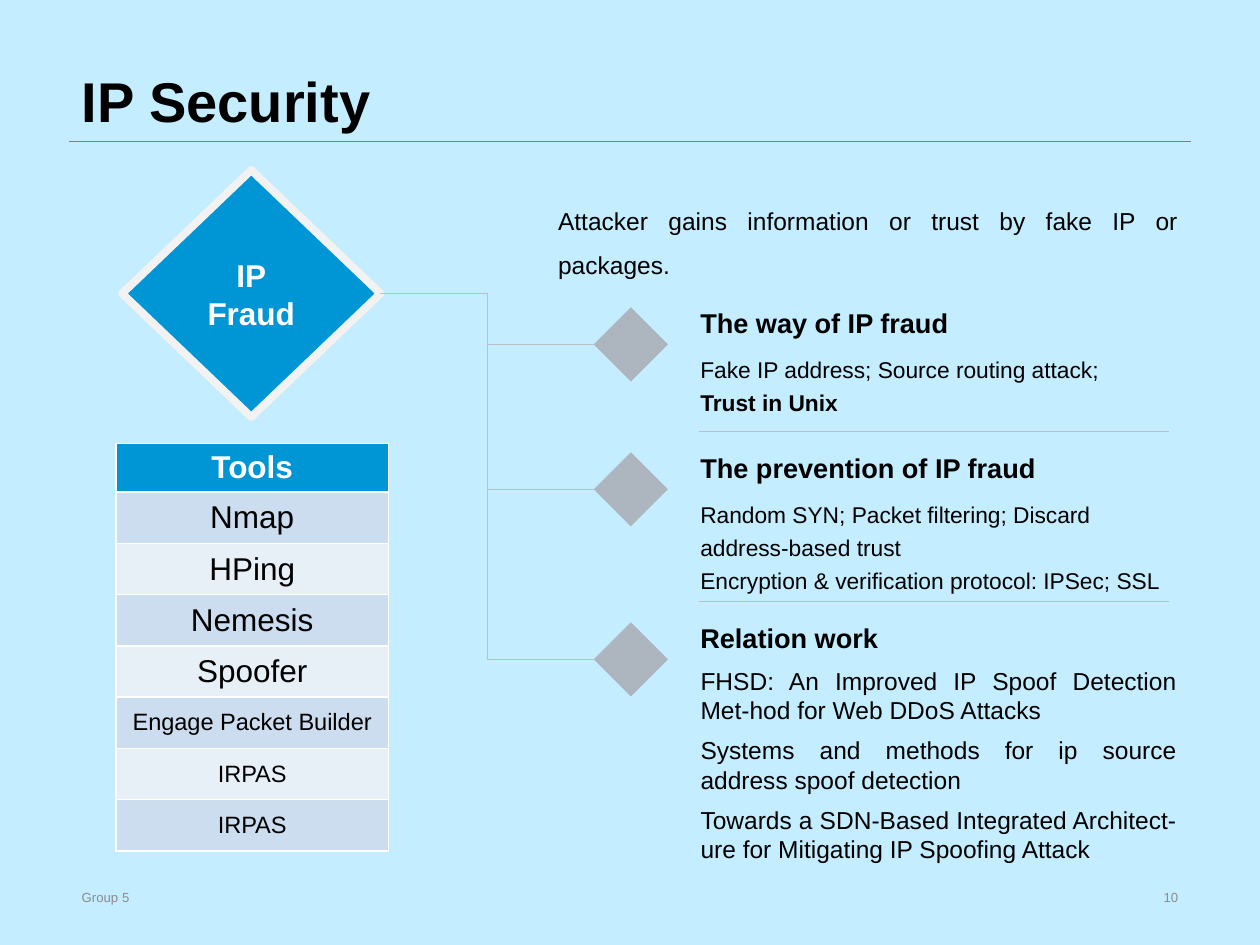
from dataclasses import dataclass

from lxml.etree import SubElement
from pptx import Presentation
from pptx.dml.color import RGBColor
from pptx.enum.shapes import MSO_CONNECTOR as Connector, MSO_SHAPE as Shape
from pptx.enum.text import MSO_ANCHOR as Anchor, MSO_AUTO_SIZE as AutoSize, PP_ALIGN as Align
from pptx.oxml.ns import qn
from pptx.util import Pt


@dataclass(frozen=True)
class Theme:
    font: str = "Arial"
    background: str = "C4EDFF"
    text: str = "000000"
    light_text: str = "FFFFFF"
    muted_text: str = "8C8C8C"
    accent: str = "0096D6"
    outline: str = "F2F2F2"
    marker: str = "ADB5BF"
    title_rule: str = "808080"
    rule: str = "BFBFBF"
    bands: tuple = ("CCDDF0", "E7EFF7")
    title_size: float = 32
    label_size: float = 18
    heading_size: float = 15.5
    text_size: float = 14
    tool_size: float = 13.5
    detail_size: float = 13
    footer_size: float = 7.5


THEME = Theme()
TOOLS = ["Nmap", "HPing", "Nemesis", "Spoofer", "Engage Packet Builder", "IRPAS", "IRPAS"]
LARGE_TOOLS = 4

HEADING_LEFT, HEADING_WIDTH, HEADING_HEIGHT = 393.1, 286.6, 22.7
MARKER_LEFT, MARKER_SIZE = 339.3, 42.4
RULE_GAP = 10.8
SECTIONS = [
    (174.2, 42.5, "The way of IP fraud",
     ["Fake IP address; Source routing attack;", "Trust in Unix"]),
    (257, 61.2, "The prevention of IP fraud",
     ["Random SYN; Packet filtering; Discard address-based trust",
      "Encryption & verification protocol: IPSec; SSL"]),
    (354.2, 127.4, "Relation work",
     ["FHSD: An Improved IP Spoof Detection Met-hod for Web DDoS Attacks",
      "Systems and methods for ip source address spoof detection",
      "Towards a SDN-Based Integrated Architect-ure for Mitigating IP Spoofing Attack"]),
]


def color(value):
    return RGBColor.from_string(value)


def write(text_frame, text, size, fill=THEME.text, bold=False, align=Align.LEFT,
          spacing=1.0, anchor=Anchor.TOP):
    text_frame.text = text
    text_frame.word_wrap = True
    text_frame.auto_size = AutoSize.NONE
    text_frame.vertical_anchor = anchor
    format_paragraphs(text_frame, size, fill, bold, align, spacing)


def format_paragraphs(text_frame, size, fill, bold, align, spacing=1.0):
    for paragraph in text_frame.paragraphs:
        paragraph.alignment = align
        paragraph.line_spacing = spacing
        paragraph.space_before = paragraph.space_after = Pt(0)
        for run in paragraph.runs:
            font = run.font
            font.name, font.size, font.bold = THEME.font, Pt(size), bold
            font.color.rgb = color(fill)


def place(shape, left, top, width, height):
    shape.left, shape.top, shape.width, shape.height = map(Pt, (left, top, width, height))


def add_text(slide, box, text, size, **style):
    frame = slide.shapes.add_textbox(*map(Pt, box)).text_frame
    write(frame, text, size, **style)
    return frame


def add_diamond(slide, box, fill):
    diamond = slide.shapes.add_shape(Shape.DIAMOND, *map(Pt, box))
    diamond.shadow.inherit = False
    diamond.fill.solid()
    diamond.fill.fore_color.rgb = color(fill)
    diamond.line.fill.background()
    return diamond


def add_line(slide, start=(0, 0), end=(0, 0), line_color=THEME.rule, kind=Connector.STRAIGHT):
    line = slide.shapes.add_connector(kind, *map(Pt, start + end))
    line.line.color.rgb = color(line_color)
    line.line.width = Pt(0.25)
    SubElement(line._element.spPr, qn("a:effectLst"))
    return line


def add_branch(slide, source, target):
    """Join the right corner of one diamond to the left corner of another."""
    branch = add_line(slide, kind=Connector.ELBOW)
    branch.begin_connect(source, 3)
    branch.end_connect(target, 1)


def add_title(slide):
    place(slide.shapes.title, 39.6, 0, 640.8, 80.6)
    write(slide.shapes.title.text_frame, "IP Security", THEME.title_size, bold=True,
          spacing=0.9, anchor=Anchor.BOTTOM)
    add_line(slide, (39.6, 80.8), (680.4, 80.8), THEME.title_rule)


def add_topic(slide):
    topic = add_diamond(slide, (69.8, 97.2, 147.6, 141.1), THEME.accent)
    topic.line.color.rgb = color(THEME.outline)
    topic.line.width = Pt(4.5)
    write(topic.text_frame, "IP\nFraud", THEME.label_size, THEME.light_text, True,
          Align.CENTER, anchor=Anchor.MIDDLE)
    return topic


def add_section(slide, topic, top, heading):
    """Add a section's marker, branch and heading."""
    marker = add_diamond(slide, (MARKER_LEFT, top + 1.4, MARKER_SIZE, MARKER_SIZE), THEME.marker)
    add_branch(slide, topic, marker)
    add_text(slide, (HEADING_LEFT, top, HEADING_WIDTH, HEADING_HEIGHT), heading,
             THEME.heading_size, bold=True, spacing=0.8, anchor=Anchor.BOTTOM)


def fill_list(placeholder, box, items):
    place(placeholder, *box)
    frame = placeholder.text_frame
    write(frame, "\n".join(items), THEME.text_size, align=Align.JUSTIFY)
    for paragraph in frame.paragraphs:
        properties = paragraph._p.get_or_add_pPr()
        properties.set("marL", "0")
        properties.set("indent", "0")
        SubElement(properties, qn("a:buNone"))
    middle = frame.paragraphs[1]
    middle.space_before = middle.space_after = Pt(6)


def add_tools(slide):
    rows = len(TOOLS) + 1
    table = slide.shapes.add_table(rows, 1, Pt(66.4), Pt(253.4), Pt(155.5), Pt(233)).table
    for index, name in enumerate(["Tools"] + TOOLS):
        header = index == 0
        table.rows[index].height = Pt(27.9 if header else 29.3)
        cell = table.cell(index, 0)
        cell.text = name
        cell.vertical_anchor = Anchor.MIDDLE
        cell.fill.solid()
        cell.fill.fore_color.rgb = color(THEME.accent if header else THEME.bands[(index - 1) % 2])
        size = THEME.label_size if index <= LARGE_TOOLS else THEME.tool_size
        fill = THEME.light_text if header else THEME.text
        format_paragraphs(cell.text_frame, size, fill, header, Align.CENTER)


def add_footer(slide):
    style = dict(fill=THEME.muted_text, anchor=Anchor.MIDDLE)
    add_text(slide, (39.6, 504.7, 244.8, 16.6), "Group 5", THEME.footer_size, **style)
    add_text(slide, (508.3, 504.7, 172.1, 16.6), "10", THEME.footer_size,
             align=Align.RIGHT, **style)


def main():
    presentation = Presentation()
    presentation.slide_width, presentation.slide_height = Pt(720), Pt(540)
    slide = presentation.slides.add_slide(presentation.slide_layouts[1])
    slide.background.fill.solid()
    slide.background.fill.fore_color.rgb = color(THEME.background)

    add_title(slide)
    topic = add_topic(slide)
    add_text(slide, (311.8, 105.8, 368.6, 54.7),
             "Attacker gains information or trust by fake IP or packages.",
             THEME.text_size, align=Align.JUSTIFY, spacing=1.5)

    details = []
    for index, (top, height, heading, lines) in enumerate(SECTIONS):
        add_section(slide, topic, top, heading)
        box = (HEADING_LEFT, top + HEADING_HEIGHT, HEADING_WIDTH, height)
        if index == len(SECTIONS) - 1:
            fill_list(slide.placeholders[1], box, lines)
        else:
            details.append(add_text(slide, box, "\n".join(lines), THEME.detail_size, spacing=1.2))
        if index:
            add_line(slide, (399.6, top - RULE_GAP), (668.2, top - RULE_GAP))
    details[0].paragraphs[1].runs[0].font.bold = True

    add_tools(slide)
    add_footer(slide)
    presentation.save("out.pptx")


if __name__ == "__main__":
    main()
